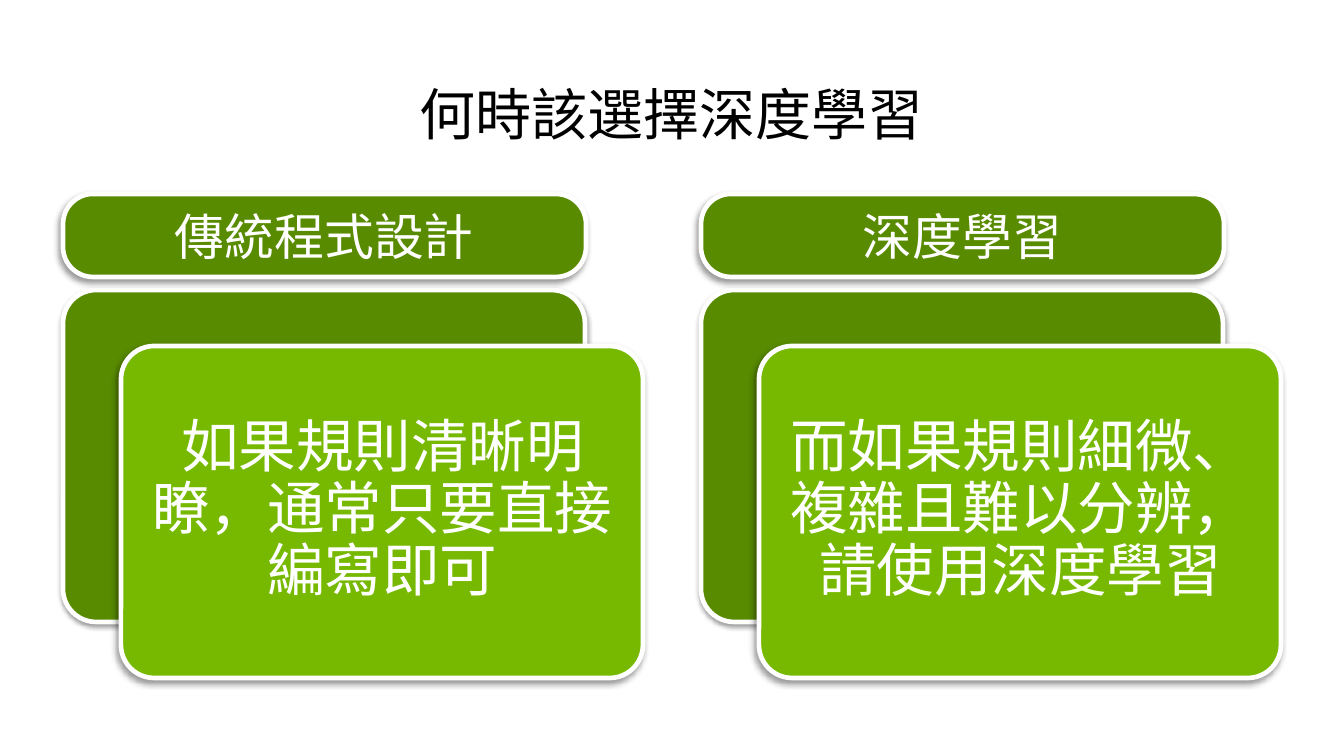
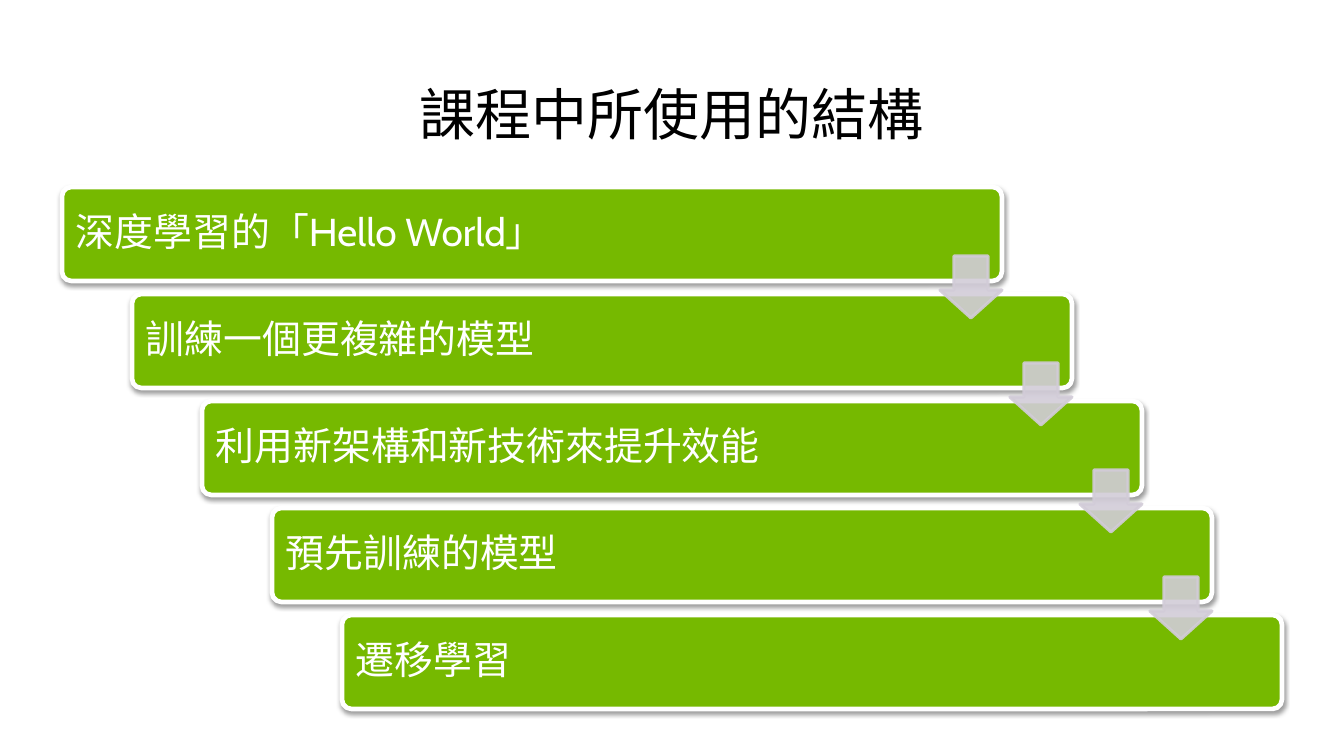
from lxml import etree
from pptx import Presentation
from pptx.dml.color import RGBColor
from pptx.enum import shapes, text
from pptx.oxml import ns
from pptx.util import Emu, Pt

PX = 914400 / 112
FONT = "Cabin"
BLACK = RGBColor(0x00, 0x00, 0x00)
WHITE = RGBColor(0xFF, 0xFF, 0xFF)
GREEN = RGBColor(0x76, 0xB9, 0x00)
DARK_GREEN = RGBColor(0x59, 0x8B, 0x00)
LILAC = RGBColor(0xD2, 0xCC, 0xD8)
SOFT_SHADOW = {"opacity": 38, "blur": 3.1, "distance": 1.6, "angle": 90}
DEEP_SHADOW = {"opacity": 40, "blur": 4, "distance": 3, "angle": 135}
CENTER = text.PP_ALIGN.CENTER
LEFT = text.PP_ALIGN.LEFT

COMPARISON = [
    ("傳統程式設計", "如果規則清晰明瞭，通常只要直接編寫即可"),
    ("深度學習", "而如果規則細微、複雜且難以分辨，請使用深度學習"),
]
STEPS = [
    "深度學習的「Hello World」",
    "訓練一個更複雜的模型",
    "利用新架構和新技術來提升效能",
    "預先訓練的模型",
    "遷移學習",
]


def px(*lengths):
    return [Emu(round(length * PX)) for length in lengths]


def add_child(parent, tag, **attributes):
    child = etree.SubElement(parent, ns.qn(tag))
    for name, value in attributes.items():
        child.set(name, str(value))
    return child


def write(shape, words, size, color, align=CENTER, spacing=None, inset=None):
    frame = shape.text_frame
    frame.word_wrap = True
    frame.auto_size = text.MSO_AUTO_SIZE.NONE
    frame.vertical_anchor = text.MSO_ANCHOR.MIDDLE
    if inset is not None:
        margin = px(inset)[0]
        frame.margin_left = frame.margin_right = margin
        frame.margin_top = frame.margin_bottom = margin
    para = frame.paragraphs[0]
    para.text = words
    para.alignment = align
    para.line_spacing = spacing
    para.font.name = FONT
    para.font.size = Pt(size)
    para.font.color.rgb = color
    para.font.fill.solid()
    para.font.color.rgb = color
    para.runs[0].text = words
    para._p.get_or_add_pPr().set("hangingPunct", "0")


def add_titled_page(deck, title):
    page = deck.slides.add_slide(deck.slide_layouts[5])
    box = page.shapes.title
    box.left, box.top, box.width, box.height = px(61, 80, 1222, 73)
    write(box, title, 36, BLACK, spacing=0.9)
    box.text_frame.vertical_anchor = text.MSO_ANCHOR.BOTTOM
    return page


def add_label(page, place, words, size, align, inset):
    box = page.shapes.add_textbox(*px(*place))
    write(box, words, size, WHITE, align, 0.9, inset)


def add_panel(page, place, color, shadow, rounding=0.1):
    panel = page.shapes.add_shape(shapes.MSO_SHAPE.ROUNDED_RECTANGLE, *px(*place))
    panel.adjustments[0] = rounding
    panel.fill.solid()
    panel.fill.fore_color.rgb = color
    panel.line.color.rgb = WHITE
    panel.line.width = Pt(3)
    panel.shadow.inherit = False
    effects = panel.element.spPr.find(ns.qn("a:effectLst"))
    outer = add_child(effects, "a:outerShdw", blurRad=Pt(shadow["blur"]),
                      dist=Pt(shadow["distance"]), dir=shadow["angle"] * 60000,
                      rotWithShape=0)
    tint = add_child(outer, "a:srgbClr", val=BLACK)
    add_child(tint, "a:alpha", val=shadow["opacity"] * 1000)
    return panel


def add_down_arrow(page, left, top):
    arrow = page.shapes.add_shape(shapes.MSO_SHAPE.DOWN_ARROW, *px(left, top, 62, 62))
    arrow.adjustments[0] = 0.55
    arrow.adjustments[1] = 0.45
    arrow.shadow.inherit = False
    arrow.fill.solid()
    arrow.fill.fore_color.rgb = LILAC
    arrow.line.color.rgb = LILAC
    arrow.line.width = Pt(2)
    for tint in arrow.element.spPr.iter(ns.qn("a:srgbClr")):
        add_child(tint, "a:alpha", val=90000)


def add_comparison_column(page, left, heading, advice):
    add_panel(page, (left, 290, 522, 332), DARK_GREEN, SOFT_SHADOW)
    add_panel(page, (left + 58, 346, 522, 332), GREEN, DEEP_SHADOW)
    add_label(page, (left + 68, 355, 503, 312), advice, 37, CENTER, 17)
    header = add_panel(page, (left, 194, 523, 83), DARK_GREEN, DEEP_SHADOW, 0.36)
    write(header, heading, 32, WHITE)


def add_staircase(page, steps):
    corners = [(62 + 70 * index, 187 + 107 * index) for index in range(len(steps))]
    for index, ((left, top), words) in enumerate(zip(corners, steps)):
        add_panel(page, (left, top, 940, 94), GREEN, SOFT_SHADOW)
        width = 803 if index else 827
        add_label(page, (left + 3, top + 3, width, 88), words, 25, LEFT, 11)
    for left, top in corners[:-1]:
        add_down_arrow(page, left + 878, top + 69)


def main():
    deck = Presentation()
    deck.slide_width, deck.slide_height = px(1344, 756)

    page = add_titled_page(deck, "何時該選擇深度學習")
    for index, (heading, advice) in enumerate(COMPARISON):
        add_comparison_column(page, 63 + 638 * index, heading, advice)

    page = add_titled_page(deck, "課程中所使用的結構")
    add_staircase(page, STEPS)

    deck.save("out.pptx")


if __name__ == "__main__":
    main()
